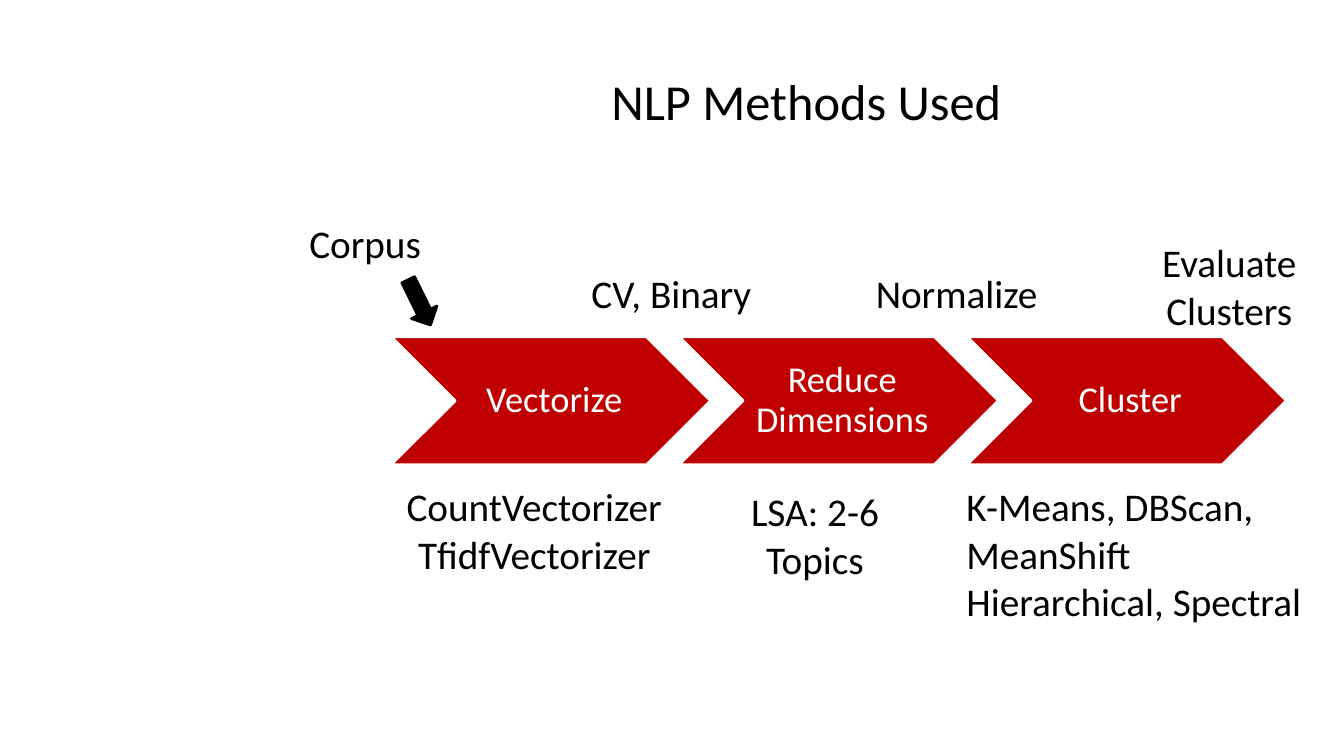
import pptx
import pptx.util
import pptx.dml.color
import pptx.enum.shapes
import pptx.enum.text

RGB = pptx.dml.color.RGBColor
SHAPE = pptx.enum.shapes.MSO_SHAPE
ALIGN = pptx.enum.text.PP_ALIGN
MIDDLE = pptx.enum.text.MSO_ANCHOR.MIDDLE

BLACK = RGB(0x00, 0x00, 0x00)
WHITE = RGB(0xFF, 0xFF, 0xFF)
RED = RGB(0xC0, 0x00, 0x00)


class Deck:
    """Style and current slide; lengths are columns and rows of a grid."""

    font = "Calibri"
    cols, rows = 40, 30

    def __init__(self):
        self.prs = pptx.Presentation()
        self.prs.slide_width = pptx.util.Inches(13.33)
        self.prs.slide_height = pptx.util.Inches(7.5)
        self.slide = self.prs.slides.add_slide(self.prs.slide_layouts[5])

    def place(self, col, row, wide, high):
        x = self.prs.slide_width / self.cols
        y = self.prs.slide_height / self.rows
        return int(col * x), int(row * y), int(wide * x), int(high * y)

    def words(self, frame, lines, size, color, align=ALIGN.CENTER):
        frame.text = "\n".join(lines)
        for para in frame.paragraphs:
            para.alignment = align
            para.font.name = self.font
            para.font.size = pptx.util.Pt(size)
            para.font.color.rgb = color

    def title(self, text, *box):
        head = self.slide.shapes.title
        head.left, head.top, head.width, head.height = self.place(*box)
        head.text_frame.vertical_anchor = MIDDLE
        self.words(head.text_frame, [text], 36, BLACK)

    def shape(self, kind, fill, line, *box):
        item = self.slide.shapes.add_shape(kind, *self.place(*box))
        item.shadow.inherit = False
        item.fill.solid()
        item.fill.fore_color.rgb = fill
        item.line.color.rgb = line
        item.line.width = pptx.util.Pt(2)
        return item

    def step(self, text, *box):
        frame = self.shape(SHAPE.CHEVRON, RED, WHITE, *box).text_frame
        frame.word_wrap = True
        frame.vertical_anchor = MIDDLE
        frame.margin_left = pptx.util.Inches(0.11)
        frame.margin_right = pptx.util.Inches(0.04)
        frame.margin_top = frame.margin_bottom = pptx.util.Inches(0.04)
        self.words(frame, [text], 26, WHITE)
        frame.paragraphs[0].line_spacing = 0.9

    def label(self, lines, col, row, wide, align=ALIGN.CENTER):
        high = 0.4 + 1.88 * len(lines)
        box = self.slide.shapes.add_textbox(*self.place(col, row, wide, high))
        box.text_frame.word_wrap = False
        self.words(box.text_frame, lines, 28, BLACK, align)


def main():
    deck = Deck()
    deck.title("NLP Methods Used", 9.3, 2.32, 29.4, 3.36)

    # Pipeline steps
    for i, name in enumerate(["Vectorize", "Reduce Dimensions", "Cluster"]):
        deck.step(name, 11.64 + 8.57 * i, 13.36, 9.51, 5.08)

    # Input to the pipeline
    deck.label(["Corpus"], 8.91, 8.52, 3.96, ALIGN.LEFT)
    arrow = deck.shape(SHAPE.STRIPED_RIGHT_ARROW, BLACK, BLACK,
                       11.73, 11.44, 1.5, 1.12)
    arrow.rotation = 63.8

    # Results above the steps
    deck.label(["CV, Binary"], 17.28, 10.48, 5.4)
    deck.label(["Normalize"], 25.74, 10.48, 5.46)
    deck.label(["Evaluate", "Clusters"], 34.26, 9.28, 4.65)

    # Methods below the steps
    deck.label(["CountVectorizer", "TfidfVectorizer"], 11.76, 18.96, 8.28)
    deck.label(["LSA: 2-6", "Topics"], 22.02, 19.16, 4.47)
    deck.label(["K-Means, DBScan,", "MeanShift", "Hierarchical, Spectral"],
               28.47, 18.96, 10.68, ALIGN.LEFT)

    deck.prs.save("out.pptx")


if __name__ == "__main__":
    main()
